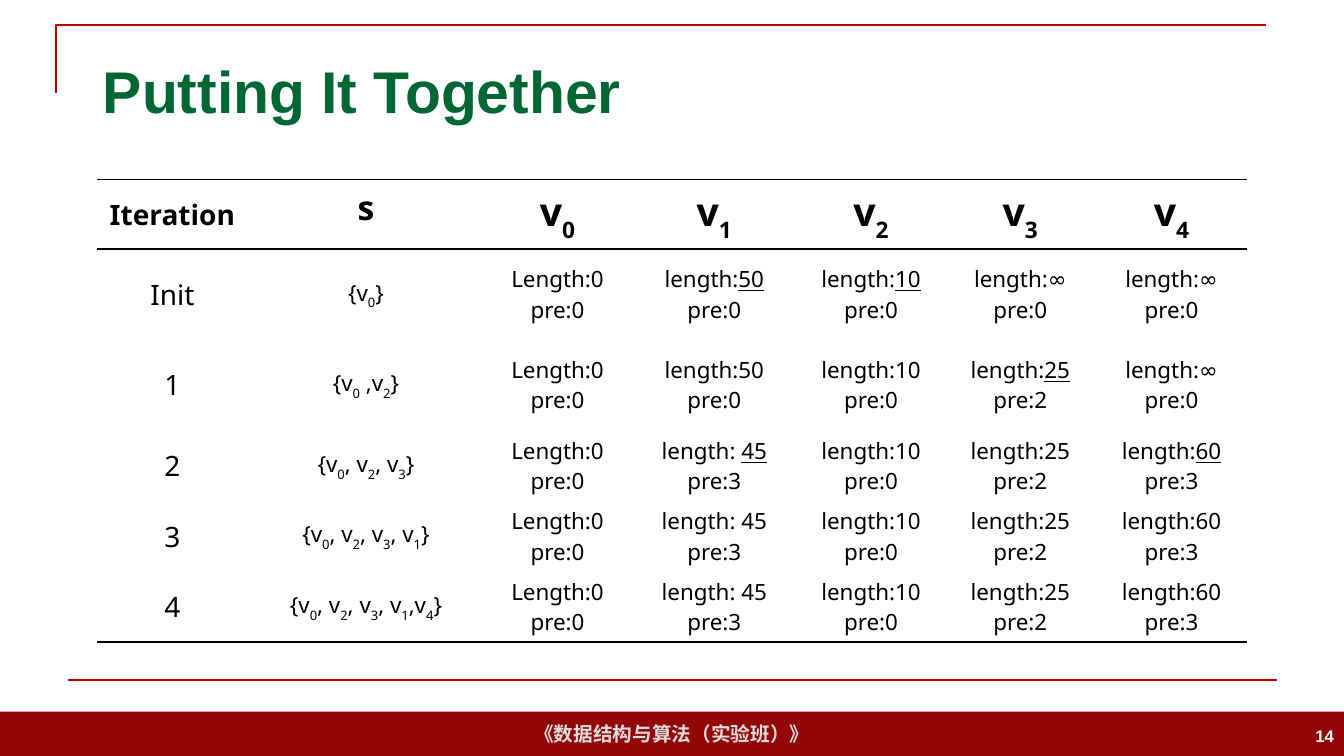
from dataclasses import dataclass

from lxml import etree
from pptx import Presentation
from pptx import util as u
from pptx.dml.color import RGBColor
from pptx.enum import shapes, text
from pptx.oxml import ns, parse_xml

PLAIN_TABLE = "{2D5ABB26-0587-4C30-8999-92F81FD0307C}"
SUBSCRIPT, UNDERLINE = "_", "*"


@dataclass(frozen=True)
class Style:
    size: float
    color: str = "000000"
    bold: bool = False
    font: str = "Noto Sans"


@dataclass(frozen=True)
class Column:
    heading: str
    width: float
    heading_style: Style
    body_style: Style


@dataclass(frozen=True)
class Row:
    height: float
    cells: tuple[str, ...]


VERTEX = Style(28, bold=True)
ENTRY = Style(16)
COLUMNS = [
    Column("Iteration", 1.5, Style(20, bold=True), Style(20)),
    Column("s", 2.34, Style(24, bold=True), ENTRY),
    Column("v_0_", 1.46, VERTEX, ENTRY),
    Column("v_1_", 1.65, VERTEX, ENTRY),
    Column("v_2_", 1.46, VERTEX, ENTRY),
    Column("v_3_", 1.5, VERTEX, ENTRY),
    Column("v_4_", 1.5, VERTEX, ENTRY),
]
START = "Length:0\npre:0"
UNREACHED = "length:∞\npre:0"
V1_FINAL = "length: 45\npre:3"
V2_FINAL = "length:10\npre:0"
V3_FINAL = "length:25\npre:2"
V4_FINAL = "length:60\npre:3"
HEADER_HEIGHT, TALL, SHORT = 0.69, 0.9, 0.7
ROWS = [
    Row(HEADER_HEIGHT, tuple(column.heading for column in COLUMNS)),
    Row(TALL, ("Init", "{v_0_}", START, "length:*50*\npre:0",
               "length:*10*\npre:0", UNREACHED, UNREACHED)),
    Row(TALL, ("1", "{v_0_ ,v_2_}", START, "length:50\npre:0",
               V2_FINAL, "length:*25*\npre:2", UNREACHED)),
    Row(SHORT, ("2", "{v_0_, v_2_, v_3_}", START, "length: *45*\npre:3",
                V2_FINAL, V3_FINAL, "length:*60*\npre:3")),
    Row(SHORT, ("3", "{v_0_, v_2_, v_3_, v_1_}", START, V1_FINAL,
                V2_FINAL, V3_FINAL, V4_FINAL)),
    Row(SHORT, ("4", "{v_0_, v_2_, v_3_, v_1_,v_4_}", START, V1_FINAL,
                V2_FINAL, V3_FINAL, V4_FINAL)),
]


def rgb(color: str) -> RGBColor:
    return RGBColor.from_string(color)


def add_span(para, words: str, style: Style):
    span = para.add_run()
    span.text = words
    span.font.size = u.Pt(style.size)
    span.font.name = style.font
    span.font.bold = style.bold
    span.font.color.rgb = rgb(style.color)
    return span


def write(frame, content: str, style: Style, align) -> None:
    for number, line in enumerate(content.split("\n")):
        para = frame.add_paragraph() if number else frame.paragraphs[0]
        para.alignment = align
        mark = UNDERLINE if UNDERLINE in line else SUBSCRIPT
        for position, piece in enumerate(line.split(mark)):
            if not piece:
                continue
            span = add_span(para, piece, style)
            if position % 2 and mark == UNDERLINE:
                span.font.underline = True
            elif position % 2:
                span.font._element.set("baseline", "-30000")


def add_border(cell, side: str) -> None:
    cell._tc.get_or_add_tcPr().append(parse_xml(
        f'<a:{side} {ns.nsdecls("a")} w="12700"><a:solidFill>'
        f'<a:srgbClr val="000000"/></a:solidFill></a:{side}>'))


def add_frame_lines(page) -> None:
    builder = page.shapes.build_freeform(u.Inches(0.56), u.Inches(0.92))
    builder.add_line_segments(
        [(u.Inches(0.56), u.Inches(0.25)), (u.Inches(12.56), u.Inches(0.25))],
        close=False)
    corner = builder.convert_to_shape()
    corner.shadow.inherit = False
    corner.fill.background()
    rule = page.shapes.add_connector(
        shapes.MSO_CONNECTOR.STRAIGHT,
        u.Inches(0.67), u.Inches(6.75), u.Inches(12.67), u.Inches(6.75))
    etree.SubElement(rule._element.spPr, ns.qn("a:effectLst"))
    for outline in (corner.line, rule.line):
        outline.color.rgb = rgb("C00000")
        outline.width = u.Pt(1.5)


def add_footer(page) -> None:
    band = page.shapes.add_shape(
        shapes.MSO_SHAPE.RECTANGLE,
        0, u.Inches(7.06), u.Inches(13.33), u.Inches(0.44))
    band.shadow.inherit = False
    band.fill.solid()
    band.fill.fore_color.rgb = rgb("940709")
    band.line.fill.background()
    band.text_frame.word_wrap = False
    band.text_frame.vertical_anchor = text.MSO_ANCHOR.MIDDLE
    write(band.text_frame, "《数据结构与算法（实验班）》",
          Style(14, "DDDDDD", True, "Arial"), text.PP_ALIGN.CENTER)
    box = page.shapes.add_textbox(
        u.Inches(10.33), u.Inches(7.1), u.Inches(3), u.Inches(0.4))
    box.text_frame.word_wrap = True
    box.text_frame.vertical_anchor = text.MSO_ANCHOR.MIDDLE
    write(box.text_frame, "14", Style(12, "FFFFFF", True, "Arial"),
          text.PP_ALIGN.RIGHT)


def add_title(page) -> None:
    title = page.shapes.title
    title.left, title.top = u.Inches(0.92), u.Inches(0.4)
    title.width, title.height = u.Inches(11.5), u.Inches(0.99)
    title.text_frame.vertical_anchor = text.MSO_ANCHOR.MIDDLE
    write(title.text_frame, "Putting It Together",
          Style(42, "006633", True, "Arial"), text.PP_ALIGN.LEFT)


def add_iterations(page) -> None:
    table_shape = page.shapes.add_table(
        len(ROWS), len(COLUMNS), u.Inches(0.96), u.Inches(1.78),
        u.Inches(sum(column.width for column in COLUMNS)),
        u.Inches(sum(row.height for row in ROWS)))
    table = table_shape.table
    table.horz_banding = False
    table._tbl.tblPr.find(ns.qn("a:tableStyleId")).text = PLAIN_TABLE
    for index, column in enumerate(COLUMNS):
        table.columns[index].width = u.Inches(column.width)
    for row_index, row in enumerate(ROWS):
        table.rows[row_index].height = u.Inches(row.height)
        header = row_index == 0
        for index, (column, content) in enumerate(zip(COLUMNS, row.cells)):
            cell = table.cell(row_index, index)
            if header:
                add_border(cell, "lnT")
            if header or row_index == len(ROWS) - 1:
                add_border(cell, "lnB")
            cell.fill.background()
            top = header and column.heading == "s"
            cell.vertical_anchor = (
                text.MSO_ANCHOR.TOP if top else text.MSO_ANCHOR.MIDDLE)
            style = column.heading_style if header else column.body_style
            write(cell.text_frame, content, style, text.PP_ALIGN.CENTER)


def main() -> None:
    deck = Presentation()
    deck.slide_width, deck.slide_height = u.Inches(13.33), u.Inches(7.5)
    page = deck.slides.add_slide(deck.slide_layouts.get_by_name("Title Only"))
    add_footer(page)
    add_frame_lines(page)
    add_title(page)
    add_iterations(page)
    deck.save("out.pptx")


if __name__ == "__main__":
    main()
